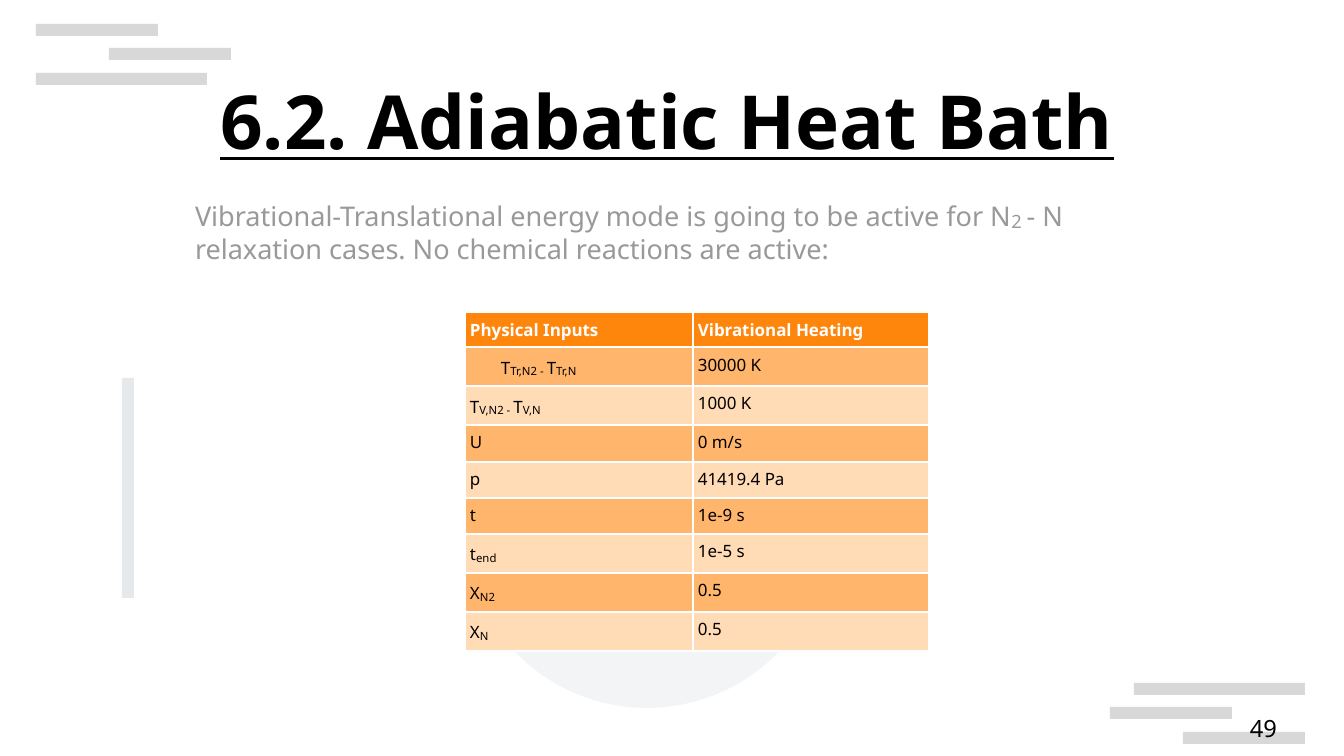
from lxml import etree
from pptx import Presentation
from pptx.dml.color import RGBColor
from pptx.enum.shapes import MSO_SHAPE
from pptx.enum.text import MSO_ANCHOR, MSO_AUTO_SIZE, PP_ALIGN
from pptx.oxml.ns import qn
from pptx.util import Pt

RECT, OVAL = MSO_SHAPE.RECTANGLE, MSO_SHAPE.OVAL
TOP, MIDDLE, BOTTOM = MSO_ANCHOR.TOP, MSO_ANCHOR.MIDDLE, MSO_ANCHOR.BOTTOM
LEFT, CENTER, RIGHT = PP_ALIGN.LEFT, PP_ALIGN.CENTER, PP_ALIGN.RIGHT
NO_FIT = MSO_AUTO_SIZE.NONE

PX = 914400 / 122
FONT = "Noto Sans"
SUB_SCALE = 1.16
COLORS = {
    "bar": "CCCCCC", "disc": "8D99AE", "rule": "CED4DA", "text": "000000",
    "intro": "999999", "white": "FFFFFF", "head": "FF860D",
    "odd": "FFB66C", "even": "FFDBB6",
}
INTRO = ["Vibrational-Translational energy mode is going to be active for N", "2 ",
         "- N relaxation cases. No chemical reactions are active:"]
INPUTS = [
    (["Physical Inputs"], "Vibrational Heating", 35),
    (["T", "Tr,N2 - ", "T", "Tr,N"], "30000 K", 39),
    (["T", "V,N2 - ", "T", "V,N"], "1000 K", 39),
    (["U"], "0 m/s", 37),
    (["p"], "41419.4 Pa", 36),
    (["t"], "1e-9 s", 36),
    (["t", "end"], "1e-5 s", 39),
    (["X", "N2"], "0.5", 39),
    (["X", "N"], "0.5", 39),
]


def px(n):
    """Turn pixels into EMU."""
    return round(n * PX)


def rgb(name):
    """Look up a palette colour."""
    return RGBColor.from_string(COLORS[name])


def add_runs(p, parts, size, color, bold=False, underline=False):
    """Add runs to a paragraph, every second one a subscript."""
    for i, text in enumerate(parts):
        r = p.add_run()
        r.text = text
        f = r.font
        f.name, f.bold, f.underline = FONT, bold, underline
        f.color.rgb = rgb(color)
        f.size = Pt(size)
        if i % 2:
            f.size = Pt(round(size * SUB_SCALE, 1))
            r._r.get_or_add_rPr().set("baseline", "-8000")


def set_frame(tf, anchor=TOP, inset=(0, 0)):
    """Set wrapping, anchor and insets of a text frame."""
    tf.word_wrap, tf.auto_size, tf.vertical_anchor = True, NO_FIT, anchor
    tf.margin_left = tf.margin_right = px(inset[0])
    tf.margin_top = tf.margin_bottom = px(inset[1])


def add_block(slide, kind, box, color, alpha):
    """Draw a translucent borderless shape."""
    s = slide.shapes.add_shape(kind, *map(px, box))
    s.shadow.inherit = False
    s.fill.solid()
    s.fill.fore_color.rgb = rgb(color)
    s.line.fill.background()
    clr = s._element.spPr.find(".//" + qn("a:srgbClr"))
    etree.SubElement(clr, qn("a:alpha")).set("val", str(alpha * 1000))


def add_bars(slide, x, y, bars):
    """Stack three bars, each given as offset and width, from a corner."""
    for i, (dx, w) in enumerate(bars):
        add_block(slide, RECT, (x + dx, y + round(24.4 * i), w, 12), "bar", 75)


def add_title(slide, box, text):
    """Fill the title placeholder."""
    s = slide.shapes.title
    s.left, s.top, s.width, s.height = map(px, box)
    set_frame(s.text_frame, MIDDLE)
    p = s.text_frame.paragraphs[0]
    p.alignment, p.line_spacing = CENTER, 0.9
    add_runs(p, [text], 44, "text", bold=True, underline=True)


def add_text(slide, box, parts, size, color, align=LEFT, anchor=TOP, inset=(0, 0)):
    """Add a one-paragraph text box."""
    tf = slide.shapes.add_textbox(*map(px, box)).text_frame
    set_frame(tf, anchor, inset)
    p = tf.paragraphs[0]
    p.alignment = align
    add_runs(p, parts, size, color)


def add_borders(cell):
    """Give a cell white borders."""
    tc_pr = cell._tc.get_or_add_tcPr()
    for i, side in enumerate("LRTB"):
        ln = etree.Element(qn("a:ln" + side), w=str(Pt(1.13)))
        fill = etree.SubElement(ln, qn("a:solidFill"))
        etree.SubElement(fill, qn("a:srgbClr")).set("val", COLORS["white"])
        tc_pr.insert(i, ln)


def add_inputs(slide, x, y, widths):
    """Build the table of physical inputs."""
    height = sum(h for _, _, h in INPUTS)
    size = (x, y, sum(widths), height)
    tbl = slide.shapes.add_table(len(INPUTS), 2, *map(px, size)).table
    for col, w in zip(tbl.columns, widths):
        col.width = px(w)
    for i, (label, value, h) in enumerate(INPUTS):
        tbl.rows[i].height = px(h)
        fill = "head" if i == 0 else "odd" if i % 2 else "even"
        for cell, parts in zip(tbl.rows[i].cells, (label, [value])):
            cell.fill.solid()
            cell.fill.fore_color.rgb = rgb(fill)
            add_borders(cell)
            cell.margin_left = cell.margin_right = px(5)
            cell.margin_top = cell.margin_bottom = px(6)
            cell.vertical_anchor = TOP
            add_runs(cell.text_frame.paragraphs[0], parts, 10,
                     "text" if i else "white", bold=i == 0)
    first = tbl.cell(1, 0)
    first.vertical_anchor = MIDDLE
    p_pr = first.text_frame.paragraphs[0]._p.get_or_add_pPr()
    p_pr.set("marL", str(px(31)))
    p_pr.set("indent", "0")


def build_slide(prs):
    """Lay out the heat bath slide."""
    slide = prs.slides.add_slide(prs.slide_layouts[5])
    add_bars(slide, 1110, 683, [(24, 171), (0, 122), (73, 122)])
    add_bars(slide, 36, 24, [(0, 122), (73, 122), (0, 171)])
    add_block(slide, OVAL, (464, 342, 366, 366), "disc", 10)
    add_block(slide, RECT, (122, 378, 12, 220), "rule", 50)
    add_title(slide, (62, 62, 1210, 126), "6.2. Adiabatic Heat Bath")
    add_inputs(slide, 465, 312, (228, 236))
    add_text(slide, (183, 189, 946, 85), INTRO, 16, "intro", inset=(12, 6))
    add_text(slide, (964, 689, 313, 53), ["49"], 14, "text", RIGHT, BOTTOM)


def main():
    """Build and save the presentation."""
    prs = Presentation()
    prs.slide_width, prs.slide_height = px(1344), px(756)
    build_slide(prs)
    prs.save("out.pptx")


if __name__ == "__main__":
    main()
